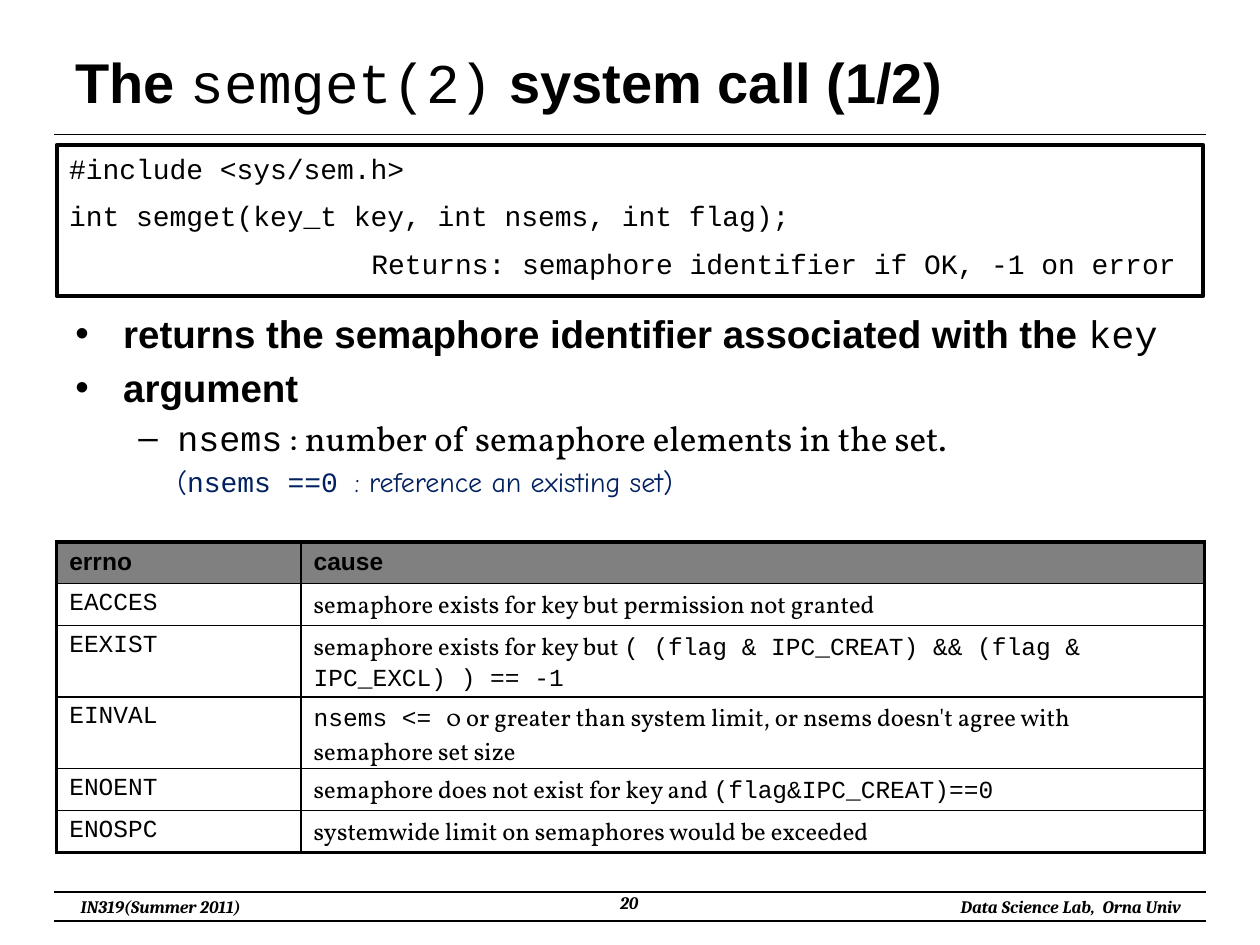
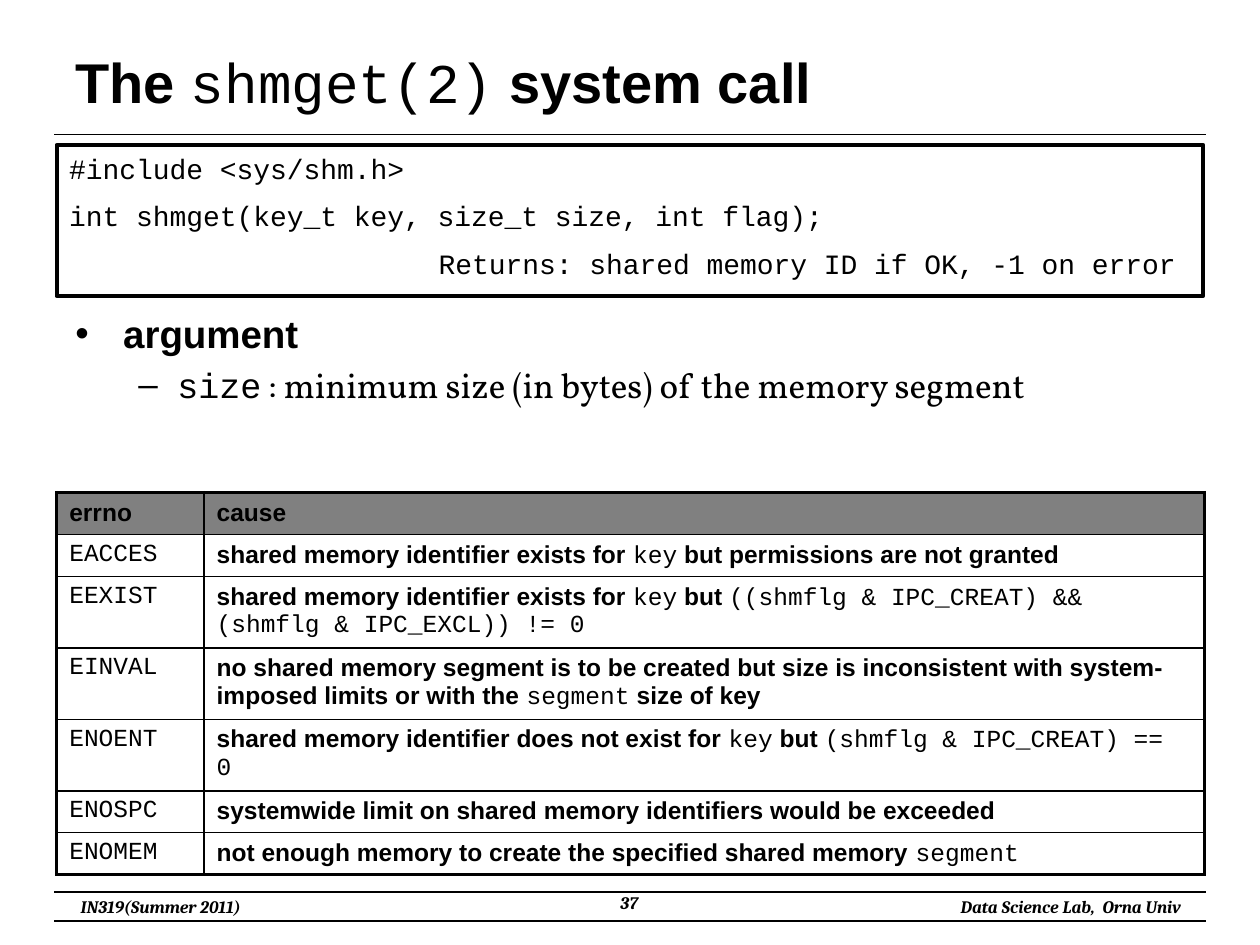
from dataclasses import dataclass

from lxml import etree
from pptx import Presentation
from pptx import util as u
from pptx.dml.color import RGBColor
from pptx.enum import shapes, text
from pptx.oxml import ns

COLORS = {"ink": "000000", "header": "808080", "note": "002060"}
# style name: font, bold, italic, colour
STYLES = {
    "strong": ("Arial", True, False, "ink"),
    "code": ("Courier New", False, False, "ink"),
    "prose": ("Vollkorn", False, False, "ink"),
    "note": ("Comic Neue", False, False, "note"),
    "note code": ("Courier New", False, False, "note"),
    "footer": ("Cambria", True, True, "ink"),
}
THIN, INNER, THICK = 0.75, 1, 2.25
COLUMNS, ROWS = 100, 75
CODE_SIZE = 16
SINGLE_ROW, DOUBLE_ROW = 3.33, 5.67

presentation = Presentation()
presentation.slide_width = u.Inches(10)
presentation.slide_height = u.Inches(7.5)


def across(columns):
    """Length of a number of grid columns."""
    return u.Emu(round(presentation.slide_width * columns / COLUMNS))


def down(rows):
    """Length of a number of grid rows."""
    return u.Emu(round(presentation.slide_height * rows / ROWS))


@dataclass
class Box:
    """A region of the slide, in grid columns and rows."""
    left: float
    top: float
    width: float
    height: float

    def place(self):
        """Left, top, width and height as lengths."""
        return across(self.left), down(self.top), across(self.width), down(self.height)


RULE = Box(4.3, 10.7, 91.4, 0)
TITLE = Box(5, 3, 90, 6.9)
CODE = Box(4.5, 11.5, 91, 12)
BODY = Box(5, 24.1, 90, 42.9)
FOOTER = Box(4.3, 70.8, 91.4, 2.3)


def rgb(name):
    """Colour object for a named colour."""
    return RGBColor.from_string(COLORS[name])


def add_xml(parent, tag, **attributes):
    """Append a DrawingML child element."""
    return etree.SubElement(parent, ns.qn(tag), attributes)


def write(paragraph, parts, size):
    """Fill a paragraph with (style, words) parts."""
    for style, words in parts:
        font_name, bold, italic, color = STYLES[style]
        run = paragraph.add_run()
        run.text = words
        run.font.name, run.font.size = font_name, u.Pt(size)
        run.font.bold, run.font.italic = bold, italic
        run.font.color.rgb = rgb(color)


def set_layout(paragraph, before, left=0, hanging=0, bullet=None):
    """Set percent space before, indents in columns and a bullet."""
    properties = paragraph._p.get_or_add_pPr()
    properties.set("marL", str(across(left)))
    properties.set("indent", str(-across(hanging)))
    add_xml(add_xml(properties, "a:spcBef"), "a:spcPct", val=str(before * 1000))
    if bullet:
        add_xml(properties, "a:buFont", typeface="Arial")
        add_xml(properties, "a:buChar", char=bullet)


def paragraphs_of(frame, count):
    """Yield the first paragraph of a frame, then new ones."""
    yield frame.paragraphs[0]
    for _ in range(count - 1):
        yield frame.add_paragraph()


def add_rule(slide, box, shift=0):
    """Draw a thin horizontal line along the top of a box."""
    left, top, width, _ = box.place()
    y = top + down(shift)
    line = slide.shapes.add_connector(shapes.MSO_CONNECTOR.STRAIGHT, left, y, left + width, y)
    line.line.color.rgb = rgb("ink")
    line.line.width = u.Pt(THIN)
    add_xml(line._element.spPr, "a:effectLst")


def add_title(slide, box, parts):
    """Move and fill the title placeholder and underline it."""
    title = slide.shapes.title
    title.left, title.top, title.width, title.height = box.place()
    frame = title.text_frame
    frame.auto_size = text.MSO_AUTO_SIZE.NONE
    frame.vertical_anchor = text.MSO_ANCHOR.MIDDLE
    frame.paragraphs[0].alignment = text.PP_ALIGN.LEFT
    write(frame.paragraphs[0], parts, 32)
    add_rule(slide, RULE)


def add_footer(slide, box, number):
    """Draw the footer lines, course, page number and owner."""
    for shift in (0, box.height):
        add_rule(slide, box, shift)
    align = text.PP_ALIGN
    for words, left, top, width, alignment in (
            ("IN319(Summer 2011)", -0.2, -0.2, 17.3, align.CENTER),
            (str(number), 34, -0.5, 23.3, align.CENTER),
            ("Data Science Lab,  Orna Univ", 67.3, -0.2, 23.1, align.RIGHT)):
        place = Box(box.left + left, box.top + top, width, 2.7).place()
        frame = slide.shapes.add_textbox(*place).text_frame
        frame.word_wrap = True
        frame.paragraphs[0].alignment = alignment
        write(frame.paragraphs[0], [("footer", words)], 10)


def add_code_box(slide, box, lines):
    """Frame a prototype; its last line ends near the right edge."""
    shape = slide.shapes.add_shape(shapes.MSO_SHAPE.RECTANGLE, *box.place())
    shape.shadow.inherit = False
    shape.fill.background()
    shape.line.color.rgb = rgb("ink")
    shape.line.width = u.Pt(THICK)
    frame = shape.text_frame
    frame.word_wrap = True
    frame.vertical_anchor = text.MSO_ANCHOR.TOP
    character = CODE_SIZE * 0.6 / 7.2  # columns taken by one monospaced character
    for paragraph, words in zip(paragraphs_of(frame, len(lines)), lines):
        is_last = words == lines[-1]
        left = box.width - 3 - len(words) * character if is_last else 0
        paragraph.alignment = text.PP_ALIGN.LEFT
        set_layout(paragraph, 50, left)
        write(paragraph, [("code", words)], CODE_SIZE)


def add_body(slide, box, items):
    """Write bulleted items given as (level, parts)."""
    levels = {  # size, left, hanging, bullet
        "point": (22, 3.8, 3.8, "•"),
        "detail": (20, 8.1, 3.1, "–"),
        "remark": (16, 8.1, 0, None),
    }
    frame = slide.shapes.add_textbox(*box.place()).text_frame
    frame.word_wrap = True
    for paragraph, (level, parts) in zip(paragraphs_of(frame, len(items)), items):
        size, left, hanging, bullet = levels[level]
        set_layout(paragraph, 20, left, hanging, bullet)
        write(paragraph, parts, size)


def set_borders(cell, edges):
    """Draw the four cell borders; edges tells which are outer."""
    properties = cell._tc.get_or_add_tcPr()
    for side in "LRTB":
        width = u.Pt(THICK if edges[side] else INNER)
        line = add_xml(properties, f"a:ln{side}", w=str(width))
        add_xml(add_xml(line, "a:solidFill"), "a:srgbClr", val=COLORS["ink"])


def add_error_table(slide, box, first_width, errors, tall):
    """Build the errno table; rows named in tall hold two lines."""
    rows = [("errno", [("strong", "cause")])] + errors
    table = slide.shapes.add_table(len(rows), 2, *box.place()).table
    table.first_row = table.horz_banding = False
    table.columns[0].width = across(first_width)
    table.columns[1].width = across(box.width - first_width)
    for r, (name, cause) in enumerate(rows):
        table.rows[r].height = down(DOUBLE_ROW if name in tall else SINGLE_ROW)
        name_style = "code" if r else "strong"
        for c, parts in enumerate(([(name_style, name)], cause)):
            cell = table.cell(r, c)
            cell.margin_bottom = 0
            set_borders(cell, {"L": c == 0, "R": c == 1,
                               "T": r == 0, "B": r == len(rows) - 1})
            if r:
                cell.fill.background()
            else:
                cell.fill.solid()
                cell.fill.fore_color.rgb = rgb("header")
            paragraph = cell.text_frame.paragraphs[0]
            set_layout(paragraph, 20)
            write(paragraph, parts, 14)


def add_call_slide(number, call, ending, code, items, table):
    """Build one system call slide from its parts."""
    slide = presentation.slides.add_slide(presentation.slide_layouts[5])
    add_title(slide, TITLE, [("strong", "The "), ("code", call), ("strong", ending)])
    add_body(slide, BODY, items)
    add_footer(slide, FOOTER, number)
    add_code_box(slide, CODE, code)
    add_error_table(slide, **table)


add_call_slide(
    20, "semget(2)", " system call (1/2)",
    ["#include <sys/sem.h>",
     "int semget(key_t key, int nsems, int flag);",
     "Returns: semaphore identifier if OK, -1 on error"],
    [("point", [("strong", "returns the semaphore identifier associated with the "),
                ("code", "key")]),
     ("point", [("strong", "argument")]),
     ("detail", [("code", "nsems"),
                 ("prose", " : number of semaphore elements in the set.")]),
     ("remark", [("note", "("), ("note code", "nsems ==0 "),
                 ("note", ": reference an existing set)")])],
    {"box": Box(4.5, 43, 91.1, 24.7), "first_width": 19.4, "tall": ("EEXIST", "EINVAL"),
     "errors": [
         ("EACCES", [("prose", "semaphore exists for key but permission not granted")]),
         ("EEXIST", [("prose", "semaphore exists for key but "),
                     ("code", "( (flag & IPC_CREAT) && (flag & IPC_EXCL) ) == -1")]),
         ("EINVAL", [("code", "nsems <= "),
                     ("prose", "0 or greater than system limit, or nsems doesn't "
                               "agree with semaphore set size")]),
         ("ENOENT", [("prose", "semaphore does not exist for key and "),
                     ("code", "(flag&IPC_CREAT)==0")]),
         ("ENOSPC", [("prose", "systemwide limit on semaphores would be exceeded")])]})

add_call_slide(
    37, "shmget(2)", " system call",
    ["#include <sys/shm.h>",
     "int shmget(key_t key, size_t size, int flag);",
     "Returns: shared memory ID if OK, -1 on error"],
    [("point", [("strong", "argument")]),
     ("detail", [("code", "size"),
                 ("prose", " : minimum size (in bytes) of the memory segment")])],
    {"box": Box(4.5, 39.1, 91.1, 30.4), "first_width": 11.7,
     "tall": ("EEXIST", "EINVAL", "ENOENT"),
     "errors": [
         ("EACCES", [("strong", "shared memory identifier exists for "), ("code", "key"),
                     ("strong", " but permissions are not granted")]),
         ("EEXIST", [("strong", "shared memory identifier exists for "), ("code", "key"),
                     ("strong", " but "),
                     ("code", "((shmflg & IPC_CREAT) && (shmflg & IPC_EXCL)) != 0")]),
         ("EINVAL", [("strong", "no shared memory segment is to be created but size is "
                                "inconsistent with system-imposed limits or with the "),
                     ("code", "segment"), ("strong", " size of key")]),
         ("ENOENT", [("strong", "shared memory identifier does not exist for "),
                     ("code", "key"), ("strong", " but "),
                     ("code", "(shmflg & IPC_CREAT) == 0")]),
         ("ENOSPC", [("strong", "systemwide limit on shared memory identifiers "
                                "would be exceeded")]),
         ("ENOMEM", [("strong", "not enough memory to create the specified shared memory "),
                     ("code", "segment")])]})

presentation.save("out.pptx")
